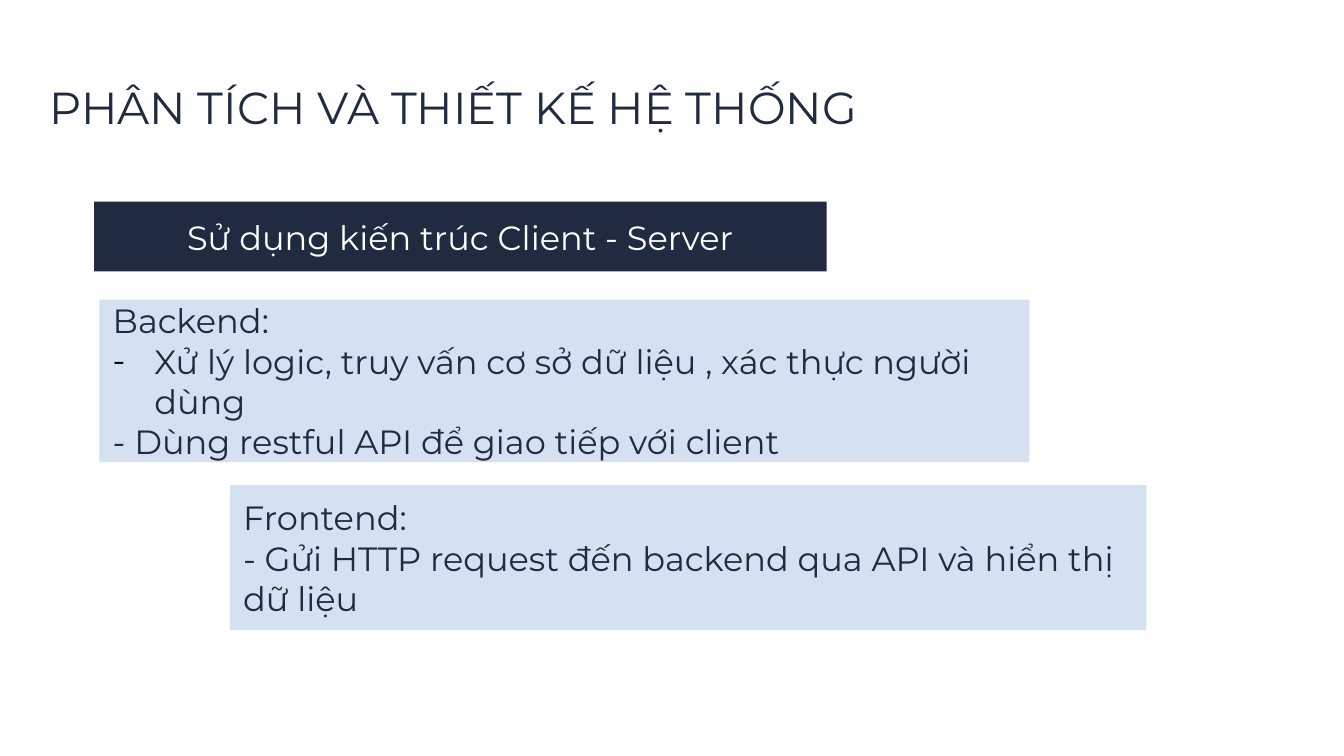
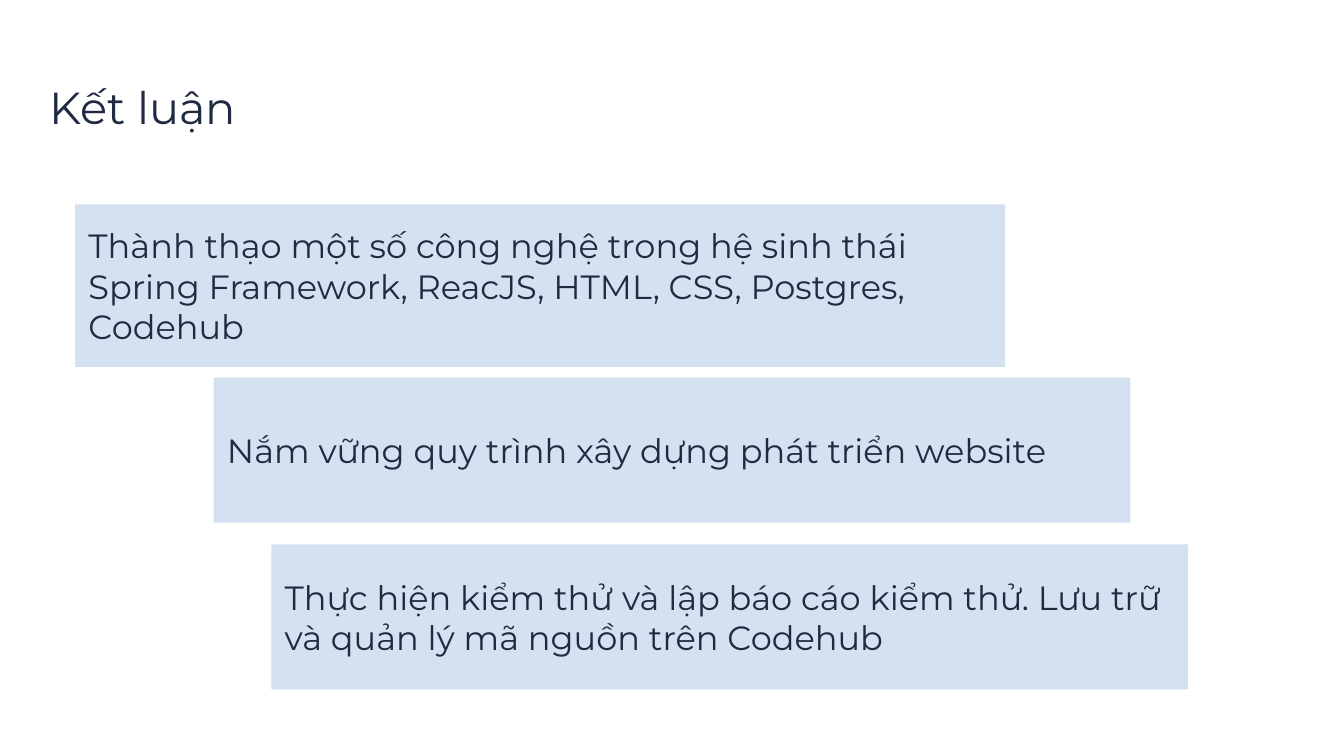
from dataclasses import dataclass

from lxml.etree import SubElement
from pptx import Presentation
from pptx.dml.color import RGBColor as Rgb
from pptx.enum.shapes import MSO_SHAPE as Shape
from pptx.enum.text import MSO_ANCHOR as Anchor, MSO_AUTO_SIZE as AutoSize, PP_ALIGN as Align
from pptx.oxml.ns import qn
from pptx.util import Inches, Pt


@dataclass(frozen=True)
class Theme:
    font: str = "Montserrat"
    navy: str = "202A41"
    pale: str = "D3E1F1"
    white: str = "FFFFFF"
    bullet: str = "000000"
    title_size: int = 24
    body_size: int = 18
    inset: float = 0.1
    indent: float = 0.31


THEME = Theme()
SLIDE_WIDTH = 10
SLIDE_HEIGHT = SLIDE_WIDTH * 9 / 16
TITLE_AREA = (0.27, 0.49, 6.46, 0.61)
BANNER_SIZE = (5.45, 0.52)
LEAD_SIZE = (6.92, 1.21)
STEP_SIZE = (6.82, 1.08)
BULLET = "• "

SLIDES = [
    {
        "title": "PHÂN TÍCH VÀ THIẾT KẾ HỆ THỐNG",
        "banner": ((0.7, 1.5), "Sử dụng kiến trúc Client - Server"),
        "cards": [
            ((0.74, 2.23), [
                "Backend:",
                BULLET + "Xử lý logic, truy vấn cơ sở dữ liệu , xác thực người dùng",
                "- Dùng restful API để giao tiếp với client",
            ]),
            ((1.71, 3.61), [
                "Frontend:",
                "- Gửi HTTP request đến backend qua API và hiển thị dữ liệu",
            ]),
        ],
    },
    {
        "title": "Kết luận",
        "cards": [
            ((0.56, 1.52), [
                "Thành thạo một số công nghệ trong hệ sinh thái Spring Framework, "
                "ReacJS, HTML, CSS, Postgres, Codehub",
            ]),
            ((1.59, 2.81), ["Nắm vững quy trình xây dựng phát triển website"]),
            ((2.02, 4.05), [
                "Thực hiện kiểm thử và lập báo cáo kiểm thử. "
                "Lưu trữ và quản lý mã nguồn trên Codehub",
            ]),
        ],
    },
]


def add_dash(paragraph):
    props = paragraph._p.get_or_add_pPr()
    props.set("marL", str(Inches(THEME.indent)))
    props.set("indent", str(-Inches(THEME.indent)))
    SubElement(SubElement(props, qn("a:buClr")), qn("a:srgbClr"), val=THEME.bullet)
    SubElement(props, qn("a:buFont"), typeface=THEME.font)
    SubElement(props, qn("a:buChar"), char="-")


def write(frame, lines, size, color, align=Align.LEFT):
    frame.word_wrap = True
    frame.margin_left = frame.margin_right = Inches(THEME.inset)
    frame.margin_top = frame.margin_bottom = Inches(THEME.inset)
    for number, line in enumerate(lines):
        paragraph = frame.add_paragraph() if number else frame.paragraphs[0]
        paragraph.text = line.removeprefix(BULLET)
        paragraph.alignment = align
        if line.startswith(BULLET):
            add_dash(paragraph)
        for run in paragraph.runs:
            run.font.name = THEME.font
            run.font.size = Pt(size)
            run.font.color.rgb = Rgb.from_string(color)


def add_title(slide, title):
    frame = slide.shapes.add_textbox(*map(Inches, TITLE_AREA)).text_frame
    write(frame, [title], THEME.title_size, THEME.navy)
    frame.auto_size = AutoSize.SHAPE_TO_FIT_TEXT


def add_panel(slide, corner, size, lines, fill, color, align=Align.LEFT):
    panel = slide.shapes.add_shape(Shape.RECTANGLE, *map(Inches, corner + size))
    panel.shadow.inherit = False
    panel.fill.solid()
    panel.fill.fore_color.rgb = Rgb.from_string(fill)
    panel.line.fill.background()
    panel.text_frame.vertical_anchor = Anchor.MIDDLE
    write(panel.text_frame, lines, THEME.body_size, color, align)


def main():
    deck = Presentation()
    deck.slide_width = Inches(SLIDE_WIDTH)
    deck.slide_height = Inches(SLIDE_HEIGHT)
    for content in SLIDES:
        slide = deck.slides.add_slide(deck.slide_layouts[6])
        add_title(slide, content["title"])
        if "banner" in content:
            corner, heading = content["banner"]
            add_panel(slide, corner, BANNER_SIZE, [heading], THEME.navy, THEME.white, Align.CENTER)
        for number, (corner, lines) in enumerate(content["cards"]):
            size = STEP_SIZE if number else LEAD_SIZE
            add_panel(slide, corner, size, lines, THEME.pale, THEME.navy)
    deck.save("out.pptx")


if __name__ == "__main__":
    main()
